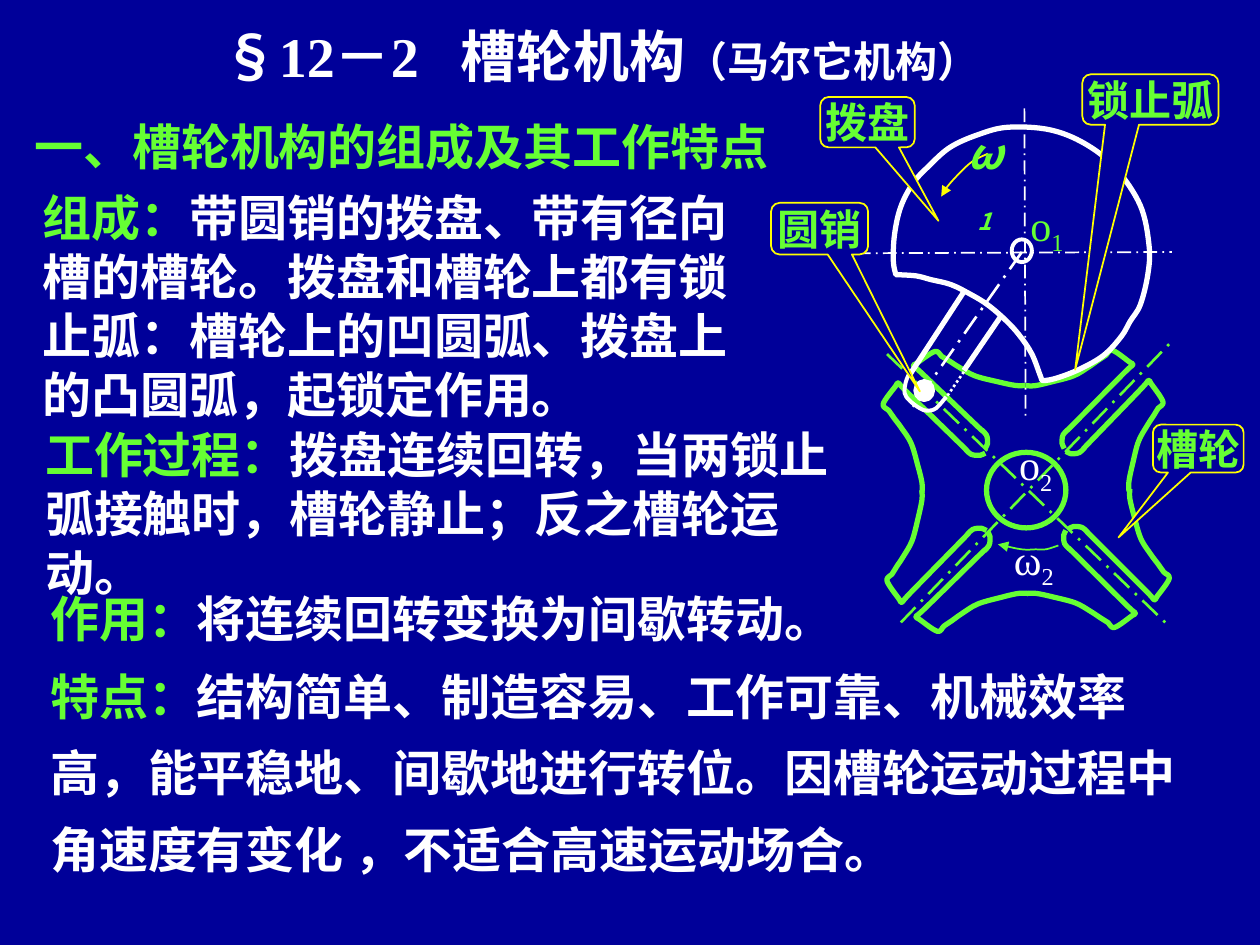
from dataclasses import dataclass
from lxml import etree
from pptx import Presentation, util as u
from pptx.dml.color import RGBColor
from pptx.enum import dml, shapes, text
from pptx.oxml.ns import qn

COLS, ROWS = 1000, 750  # fine grid over the 10 x 7.5 inch slide
WIDE, HIGH = u.Inches(10), u.Inches(7.5)


@dataclass(frozen=True)
class Theme:
    back: str = "000099"
    white: str = "FFFFFF"
    green: str = "66FF33"
    gold: str = "FFFF00"
    roman: str = "Times New Roman"
    hans: str = "Noto Sans CJK SC"
    title: int = 32
    body: int = 28
    label: int = 24


T = Theme()
DASH, DOT = dml.MSO_LINE.LONG_DASH_DOT, dml.MSO_LINE.ROUND_DOT
LEFT, MID = text.PP_ALIGN.LEFT, text.PP_ALIGN.CENTER

# Body text: box, align, wrap, line spacing, green lead, white rest
BODY = [
    ((8, 87, 621, 57), MID, True, 1, "一、槽轮机构的组成及其工作特点", ""),
    ((30, 462, 641, 57), MID, False, 1, "作用：", "将连续回转变换为间歇转动。"),
    ((24, 144, 602, 197), LEFT, True, 1, "组成：",
     "带圆销的拨盘、带有径向槽的槽轮。拨盘和槽轮上都有锁止弧：槽轮上的凹圆弧、拨盘上的凸圆弧，起锁定作用。"),
    ((30, 510, 942, 192), LEFT, True, 1.3, "特点：",
     "结构简单、制造容易、工作可靠、机械效率高，能平稳地、间歇地进行转位。"
     "因槽轮运动过程中角速度有变化 ，不适合高速运动场合。"),
    ((26, 355, 647, 104), LEFT, True, 1, "工作过程：",
     "拨盘连续回转，当两锁止弧接触时，槽轮静止；反之槽轮运动。"),
]

# Callouts: box, pointer offset, label
CALLS = [
    ((859, 59, 108, 40), (-0.553, 5.361), "锁止弧"),
    ((915, 337, 72, 38), (-0.879, 1.857), "槽轮"),
    ((651, 77, 75, 40), (0.751, 1.957), "拨盘"),
    ((612, 161, 77, 41), (1.034, 3.154), "圆销"),
]

# Half of one wheel arm, as shares of its box: locking arc, then tip and slot.
# The depth of the arc is a share of its depth at the middle.
ARC = [(0, 1), (.09, 1), (.25, .89), (.45, .72), (.59, .47), (.68, .28), (.75, .14)]
SLOT = [(.81, 0), (.97, .12), (1, .15), (.92, .23), (.43, .77), (.39, .81),
        (.35, .86), (.34, .91), (.34, .95), (.36, 1)]
# Box, depth at the middle, swap axes, flip across, flip down
ARMS = [
    ((814, 278, 85, 78), .36, 0, 0, 0), ((725, 279, 89, 77), .35, 0, 1, 0),
    ((701, 304, 81, 87), .38, 1, 0, 1), ((704, 389, 79, 89), .35, 1, 0, 0),
    ((846, 302, 77, 88), .35, 1, 1, 1), ((848, 388, 80, 88), .39, 1, 1, 0),
    ((815, 421, 86, 77), .35, 0, 0, 1), ((727, 422, 89, 79), .38, 0, 1, 1),
]

DISC = [(711, 218), (727, 219), (739, 222), (755, 226), (771, 234), (784, 242),
        (798, 254), (809, 266), (819, 281), (826, 299), (828, 302), (839, 300),
        (857, 293), (876, 282), (890, 267), (897, 255), (905, 242), (911, 218),
        (912, 195), (905, 163), (885, 133), (861, 114), (833, 103), (800, 101),
        (776, 107), (754, 117), (737, 132), (725, 145), (715, 164), (710, 186),
        (709, 207), (711, 218)]
CRANK = [(721, 298), (719, 303), (718, 312), (722, 318), (730, 324),
         (736, 326), (743, 324), (751, 315)]
TURN1 = [(784, 122), (772, 128), (762, 137), (752, 148), (747, 156)]
TURN2 = [(840, 433), (830, 436), (822, 436), (811, 436), (792, 432)]

# Lines: from, to, colour, width, dash
WHEEL = [((704, 281), (929, 498), T.green, 1.5, DASH),
         ((715, 494), (928, 273), T.green, 1.5, DASH)]
DRIVE = [((680, 201), (930, 200), T.white, 1, DASH),
         ((813, 86), (814, 333), T.white, 1, DASH),
         ((721, 299), (766, 230), T.white, 3, None),
         ((765, 294), (795, 250), T.white, 3, None),
         ((811, 200), (723, 325), T.white, 1.5, DASH),
         ((752, 314), (765, 295), T.white, 1.5, DOT)]


def pos(x, y):
    return round(x * WIDE / COLS), round(y * HIGH / ROWS)


def place(box):
    return *pos(*box[:2]), *pos(*box[2:])


def rgb(tint):
    return RGBColor.from_string(tint)


def pen(line, tint, width, dash=None):
    line.color.rgb = rgb(tint)
    line.width = u.Pt(width)
    if dash:
        line.dash_style = dash


def paint(shape, fill, tint, width):
    shape.shadow.inherit = False
    if fill:
        shape.fill.solid()
        shape.fill.fore_color.rgb = rgb(fill)
    else:
        shape.fill.background()
    pen(shape.line, tint, width)


def bend(shape):
    """Turn each straight segment into a Bezier curve through the same points."""
    nodes = list(shape._element.iter(qn("a:pt")))
    pts = [(int(n.get("x")), int(n.get("y"))) for n in nodes]
    ends = [pts[0], *pts, pts[-1]]
    for node, a, b, c, d in zip(nodes[1:], ends, ends[1:], ends[2:], ends[3:]):
        step = node.getparent()
        step.tag = qn("a:cubicBezTo")
        first = [q + (r - p) / 6 for p, q, r in zip(a, b, c)]
        second = [r - (s - q) / 6 for q, r, s in zip(b, c, d)]
        for k, (x, y) in enumerate((first, second)):
            step.insert(k, etree.Element(qn("a:pt"), x=str(round(x)), y=str(round(y))))


def curve(pts, tint, width, arrow=False, close=False):
    dots = [pos(*p) for p in pts]
    path = slide.shapes.build_freeform(*dots[0], scale=1.0)
    path.add_line_segments(dots[1:], close=close)
    shape = path.convert_to_shape()
    bend(shape)
    paint(shape, None, tint, width)
    if arrow:
        etree.SubElement(shape.line._get_or_add_ln(), qn("a:tailEnd"), type="triangle")


def rule(start, end, tint, width, dash):
    line = slide.shapes.add_connector(
        shapes.MSO_CONNECTOR.STRAIGHT, *pos(*start), *pos(*end))
    pen(line.line, tint, width, dash)
    etree.SubElement(line._element.spPr, qn("a:effectLst"))


def oval(box, fill, tint, width):
    paint(slide.shapes.add_shape(shapes.MSO_SHAPE.OVAL, *place(box)), fill, tint, width)


def write(shape, runs, align=MID, wrap=False, space=1, top=False):
    """Runs are (words, size, colour, bold, extras)."""
    frame = shape.text_frame
    frame.word_wrap = wrap
    frame.vertical_anchor = text.MSO_ANCHOR.TOP if top else text.MSO_ANCHOR.MIDDLE
    para = frame.paragraphs[0]
    para.alignment, para.line_spacing = align, space
    para._p.get_or_add_pPr().set("hangingPunct", "0")
    for words, size, tint, bold, more in runs:
        run = para.add_run()
        run.text = words
        font = run.font
        font.size, font.bold, font.color.rgb = u.Pt(size), bold, rgb(tint)
        font.name = more.get("face", T.roman)
        font.italic = more.get("slant", False)
        props = font._element
        etree.SubElement(props, qn("a:ea"), typeface=T.hans)
        if "base" in more:
            props.set("baseline", str(more["base"]))
    return frame


def note(box, runs, **how):
    shape = slide.shapes.add_textbox(*place(box))
    frame = write(shape, runs, **how)
    frame.auto_size = text.MSO_AUTO_SIZE.SHAPE_TO_FIT_TEXT
    return frame


def sign(box, mark, sub, tint, bold=False, align=MID, wrap=False, pad=.1, **more):
    """A symbol with its subscript."""
    frame = note(box, [(mark, T.label, tint, bold, more),
                       (sub, T.label, tint, bold, {**more, "base": -25000})],
                 align=align, wrap=wrap)
    frame.margin_left = frame.margin_right = u.Inches(pad)


deck = Presentation()
deck.slide_width, deck.slide_height = WIDE, HIGH
slide = deck.slides.add_slide(deck.slide_layouts[6])
slide.background.fill.solid()
slide.background.fill.fore_color.rgb = rgb(T.back)

for (x, y, w, h), deep, swap, across, down in ARMS:
    arm = [(a, b * deep) for a, b in ARC] + SLOT
    arm = [(b, a) if swap else (a, b) for a, b in arm]
    curve([(x + w * abs(across - a), y + h * abs(down - b)) for a, b in arm], T.green, 3)
oval((783, 359, 63, 60), None, T.green, 3)
for line in WHEEL:
    rule(*line)
sign((799, 343, 46, 56), "o", "2", T.white)
curve(TURN1, T.gold, 1, arrow=True)
sign((756, 116, 51, 56), "ω", "1", T.green, bold=True, wrap=True, pad=.12,
     face=T.hans, slant=True)
curve(TURN2, T.green, 1, arrow=True)
sign((795, 418, 51, 56), "ω", "2", T.white, pad=0)

note((167, 12, 693, 64), [
    ("§", T.title, T.white, True, {"face": T.hans}),
    ("12－2", T.title, T.white, True, {}),
    ("　", T.label, T.white, True, {}),
    ("槽轮机构", T.title, T.white, True, {}),
    ("（马尔它机构）", T.label, T.white, True, {})], align=LEFT, wrap=True, top=True)
for box, align, wrap, space, lead, rest in BODY:
    pairs = [(lead, T.green), (rest, T.white)]
    note(box, [(words, T.body, tint, True, {}) for words, tint in pairs if words],
         align=align, wrap=wrap, space=space)

sign((808, 153, 46, 56), "o", "1", T.green, align=LEFT)
curve(DISC, T.white, 3, close=True)
for line in DRIVE:
    rule(*line)
curve(CRANK, T.white, 2.25)
oval((727, 303, 13, 14), T.white, T.white, 3)
oval((803, 190, 16, 18), None, T.white, 2.25)

for box, tip, label in CALLS:
    call = slide.shapes.add_shape(shapes.MSO_SHAPE.ROUNDED_RECTANGULAR_CALLOUT, *place(box))
    call.adjustments[0], call.adjustments[1] = tip
    paint(call, T.back, T.gold, 1)
    write(call, [(label, T.label, T.green, True, {})])

deck.save("out.pptx")
